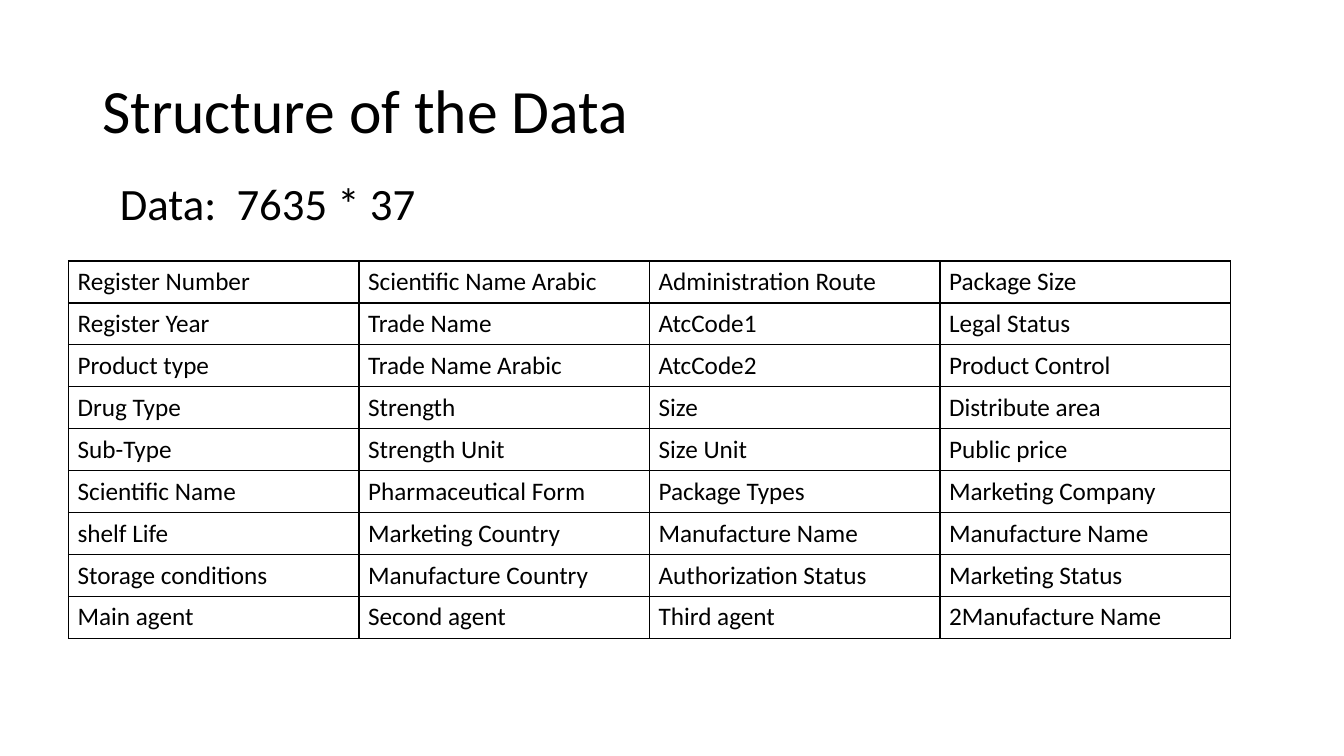
from lxml import etree
from pptx import Presentation
from pptx.dml.color import RGBColor
from pptx.enum.text import MSO_ANCHOR
from pptx.oxml.ns import qn
from pptx.util import Pt

# Content
TITLE = "Structure of the Data"
SHAPE = "Data:  7635 * 37"
FIELDS = [
    ("Register Number", "Scientific Name Arabic", "Administration Route", "Package Size"),
    ("Register Year", "Trade Name", "AtcCode1", "Legal Status"),
    ("Product type", "Trade Name Arabic", "AtcCode2", "Product Control"),
    ("Drug Type", "Strength", "Size", "Distribute area"),
    ("Sub-Type", "Strength Unit", "Size Unit", "Public price"),
    ("Scientific Name", "Pharmaceutical Form", "Package Types", "Marketing Company"),
    ("shelf Life", "Marketing Country", "Manufacture Name", "Manufacture Name"),
    ("Storage conditions", "Manufacture Country", "Authorization Status", "Marketing Status"),
    ("Main agent", "Second agent", "Third agent", "2Manufacture Name"),
]

# Style
FONT = "Calibri"
BLACK = RGBColor(0, 0, 0)
TOP, MIDDLE = MSO_ANCHOR.TOP, MSO_ANCHOR.MIDDLE
COL_W, ROW_H = 207.5, 29.95


def write(frame, text, size, anchor=TOP, spacing=None):
    frame.word_wrap = True
    frame.vertical_anchor = anchor
    para = frame.paragraphs[0]
    para.line_spacing = spacing
    run = para.add_run()
    run.text = text
    run.font.name, run.font.size = FONT, Pt(size)
    run.font.color.rgb = BLACK


def add_box(left, top, width, height):
    box = slide.shapes.add_textbox(Pt(left), Pt(top), Pt(width), Pt(height))
    return box.text_frame


def rule_cell(cell):
    props = cell._tc.get_or_add_tcPr()
    for at, side in enumerate(("lnL", "lnR", "lnT", "lnB")):
        line = etree.Element(qn("a:" + side), w=str(Pt(1)))
        fill = etree.SubElement(line, qn("a:solidFill"))
        etree.SubElement(fill, qn("a:srgbClr"), val=str(BLACK))
        props.insert(at, line)


deck = Presentation()
deck.slide_width, deck.slide_height = Pt(960), Pt(540)
slide = deck.slides.add_slide(deck.slide_layouts[6])

# Headings
write(add_box(66, 28.8, 828, 104.4), TITLE, 44, anchor=MIDDLE, spacing=0.9)
write(add_box(78.5, 121.7, 263.5, 46), SHAPE, 32)

# Table of fields
rows, cols = len(FIELDS), len(FIELDS[0])
table = slide.shapes.add_table(
    rows, cols, Pt(48.96), Pt(186.5), Pt(cols * COL_W), Pt(rows * ROW_H)
).table
table.first_row = table.horz_banding = False
for col in table.columns:
    col.width = Pt(COL_W)
for row, names in zip(table.rows, FIELDS):
    row.height = Pt(ROW_H)
    for cell, name in zip(row.cells, names):
        cell.fill.background()
        cell.margin_left = cell.margin_right = Pt(6.5)
        cell.margin_top = cell.margin_bottom = Pt(3)
        cell.vertical_anchor = MIDDLE
        write(cell.text_frame, name, 18, anchor=None)
        rule_cell(cell)

deck.save("out.pptx")
